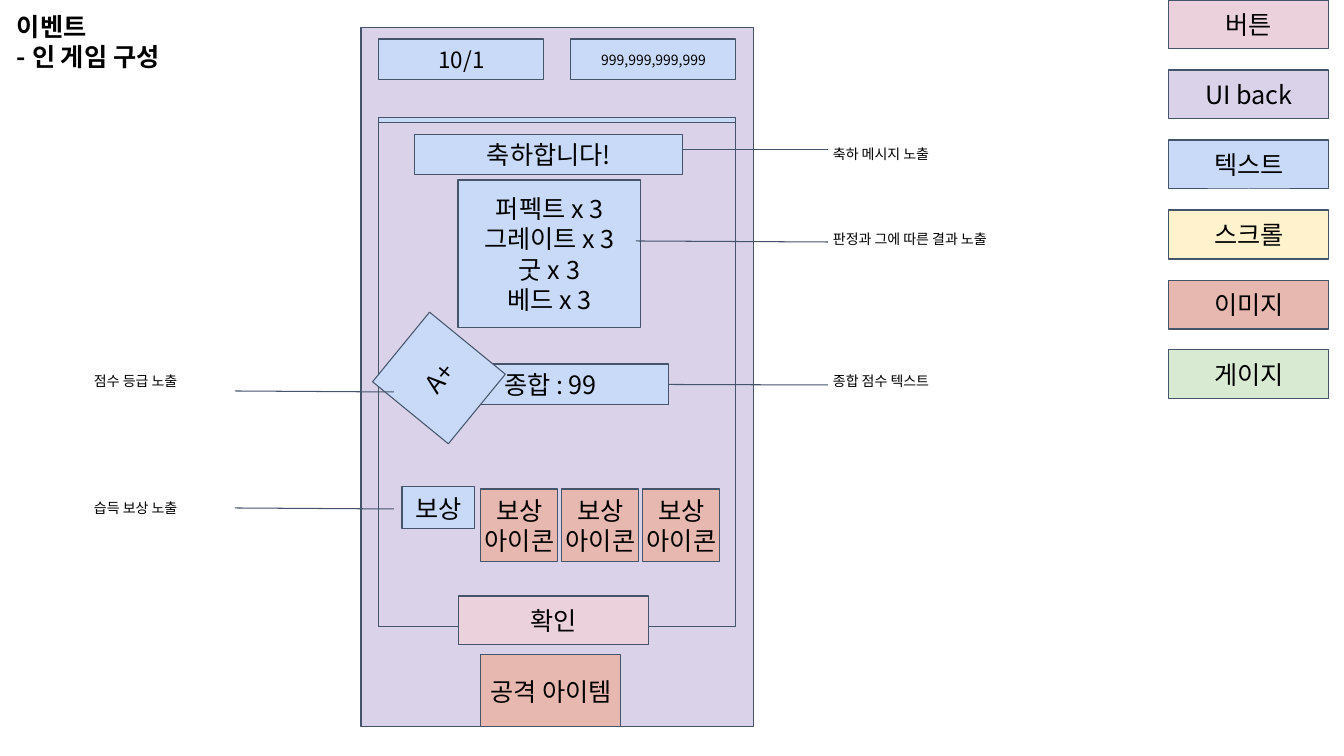
import pptx
import pptx.dml.color
import pptx.enum.shapes
import pptx.enum.text
import pptx.oxml.ns
import pptx.util
import lxml.etree

RGB = pptx.dml.color.RGBColor
PINK = RGB(0xEA, 0xD1, 0xDC)
PURPLE = RGB(0xD9, 0xD2, 0xE9)
BLUE = RGB(0xC9, 0xDA, 0xF8)
YELLOW = RGB(0xFF, 0xF2, 0xCC)
RED = RGB(0xE6, 0xB8, 0xAF)
GREEN = RGB(0xD9, 0xEA, 0xD3)
SLATE = RGB(0x44, 0x54, 0x6A)
BLACK = RGB(0, 0, 0)
FONT = "Noto Sans CJK KR"
SCALE = 12192000 / 1344  # EMU per px

# Content: boxes are (left, top, width, height), in px
TITLE = ["이벤트", "- 인 게임 구성"]
TITLE_BOX = (17, 11, 264, 119)

SCREEN = [  # box, fill, lines, size, rotation
    ((361, 28, 393, 699), PURPLE, [], 18, 0),
    ((481, 655, 140, 72), RED, ["공격 아이템"], 18, 0),
    ((379, 118, 357, 41), BLUE, [], 18, 0),
    ((379, 39, 165, 41), BLUE, ["10/1"], 16, 0),
    ((571, 39, 165, 41), BLUE, ["999,999,999,999"], 10, 0),
    ((379, 123, 357, 504), PURPLE, [], 18, 0),
    ((415, 134, 268, 41), BLUE, ["축하합니다!"], 18, 0),
    ((458, 180, 183, 148), BLUE,
     ["퍼펙트 x 3", "그레이트 x 3", "굿 x 3", "베드 x 3"], 18, 0),
]
TOTAL = ((432, 364, 237, 41), BLUE, ["종합 : 99"], 18, 0)
RESULTS = [
    ((394, 329, 90, 98), BLUE, ["A+"], 18, 309.3),
    ((402, 487, 73, 42), BLUE, ["보상"], 18, 0),
    ((459, 596, 190, 49), PINK, ["확인"], 18, 0),
]
REWARD_ICON = ["보상", "아이콘"]
REWARD_COUNT, REWARD_STEP = 3, 81

LEGEND = [("버튼", PINK), ("UI back", PURPLE), ("텍스트", BLUE),
          ("스크롤", YELLOW), ("이미지", RED), ("게이지", GREEN)]
LEGEND_STEP = 70

NOTES = [  # text, left, top
    ("축하 메시지 노출", 833, 129),
    ("판정과 그에 따른 결과 노출", 833, 214),
    ("종합 점수 텍스트", 833, 356),
    ("점수 등급 노출", 94, 356),
    ("습득 보상 노출", 94, 483),
]
LEADERS = [  # x1, y1, x2, y2
    (682, 150, 828, 150),
    (636, 241, 828, 242),
    (235, 391, 394, 392),
    (235, 508, 394, 509),
]
TOTAL_LEADER = (669, 384, 828, 385)

FRAME = dict(margin_left=0, margin_right=0, margin_top=0, margin_bottom=0,
             word_wrap=True, auto_size=pptx.enum.text.MSO_AUTO_SIZE.NONE)
MIDDLE = pptx.enum.text.MSO_ANCHOR.MIDDLE
TOP = pptx.enum.text.MSO_ANCHOR.TOP
CENTER = pptx.enum.text.PP_ALIGN.CENTER
LEFT = pptx.enum.text.PP_ALIGN.LEFT


def px(*lengths):
    return [pptx.util.Emu(round(length * SCALE)) for length in lengths]


def apply(target, values):
    for name, value in values.items():
        setattr(target, name, value)


def write(frame, lines, size, align, anchor=MIDDLE, bold=False):
    apply(frame, dict(FRAME, vertical_anchor=anchor))
    for i, line in enumerate(lines):
        paragraph = frame.paragraphs[0] if i == 0 else frame.add_paragraph()
        apply(paragraph, dict(alignment=align, line_spacing=1.0,
                              space_before=pptx.util.Pt(0)))
        run = paragraph.add_run()
        run.text = line
        apply(run.font, dict(size=pptx.util.Pt(size), name=FONT, bold=bold))
        run.font.color.rgb = BLACK
        # East Asian typeface for the Korean letters
        lxml.etree.SubElement(run.font._element, pptx.oxml.ns.qn("a:ea"),
                              typeface=FONT)


def outline(line):
    line.color.rgb = SLATE
    line.width = pptx.util.Pt(0.75)


def add_box(slide, box, fill, lines, size=18, rotation=0):
    shape = slide.shapes.add_shape(
        pptx.enum.shapes.MSO_SHAPE.RECTANGLE, *px(*box))
    shape.shadow.inherit = False
    shape.fill.solid()
    shape.fill.fore_color.rgb = fill
    shape.rotation = rotation
    outline(shape.line)
    write(shape.text_frame, lines, size, CENTER)
    return shape


def add_leader(slide, ends):
    leader = slide.shapes.add_connector(
        pptx.enum.shapes.MSO_CONNECTOR.STRAIGHT, *px(*ends))
    outline(leader.line)
    lxml.etree.SubElement(leader._element.spPr,
                          pptx.oxml.ns.qn("a:effectLst"))
    return leader


def main():
    deck = pptx.Presentation()
    deck.slide_width, deck.slide_height = px(1344, 756)
    slide = deck.slides.add_slide(deck.slide_layouts[5])

    # Title
    title = slide.shapes.title
    apply(title, dict(zip(("left", "top", "width", "height"),
                          px(*TITLE_BOX))))
    write(title.text_frame, TITLE, 18, LEFT, TOP, True)

    # Game screen
    for part in SCREEN:
        add_box(slide, *part)
    total = add_box(slide, *TOTAL)
    for part in RESULTS:
        add_box(slide, *part)
    for i in range(REWARD_COUNT):
        add_box(slide, (481 + i * REWARD_STEP, 489, 77, 73), RED, REWARD_ICON)

    # Colour legend
    for i, (kind, fill) in enumerate(LEGEND):
        add_box(slide, (1169, i * LEGEND_STEP, 160, 49), fill, [kind])

    # Notes and their leader lines
    for ends in LEADERS:
        add_leader(slide, ends)
    add_leader(slide, TOTAL_LEADER).begin_connect(total, 3)
    for text, left, top in NOTES:
        note = slide.shapes.add_textbox(*px(left, top, 194, 49))
        write(note.text_frame, [text], 10, LEFT)

    deck.save("out.pptx")


if __name__ == "__main__":
    main()
